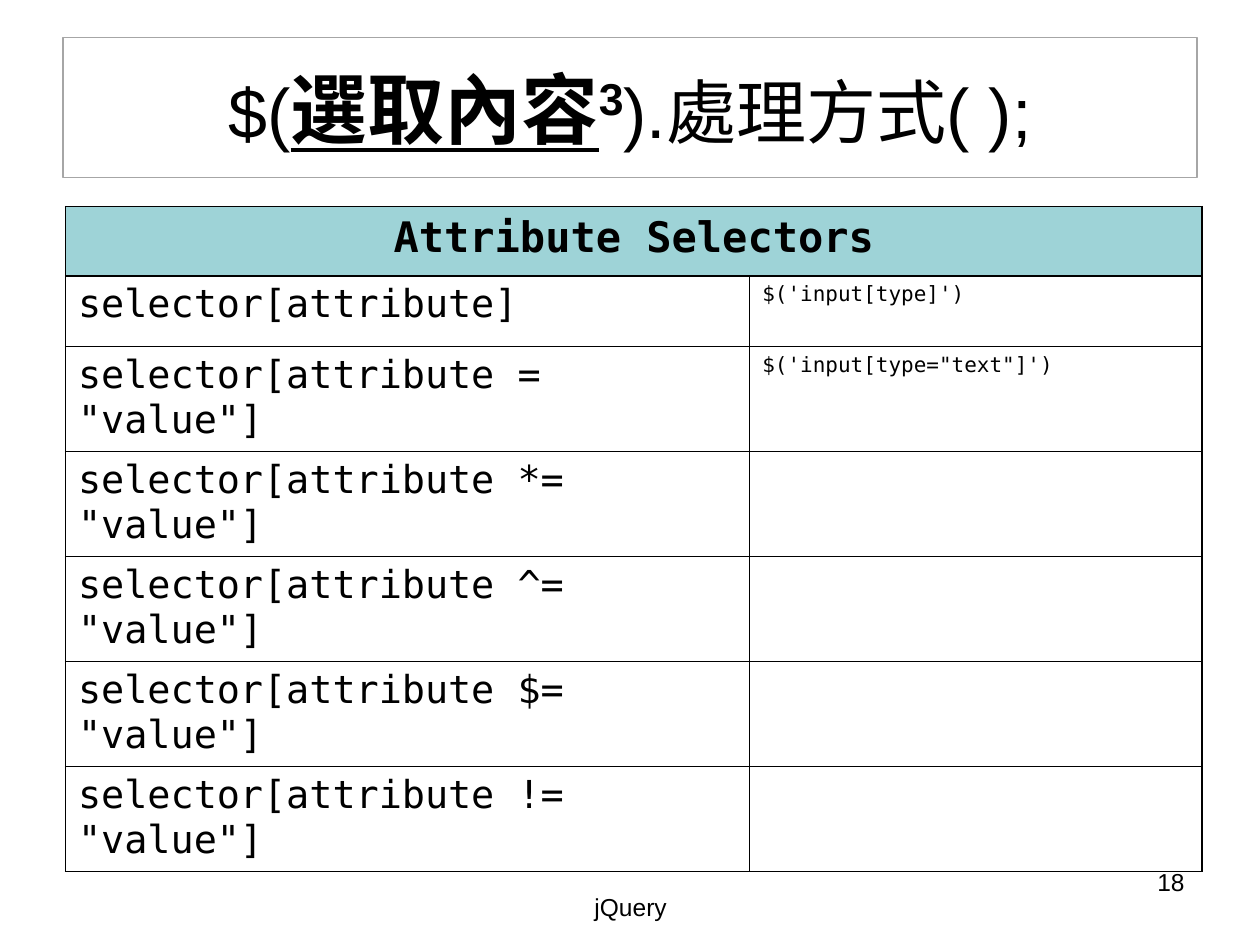
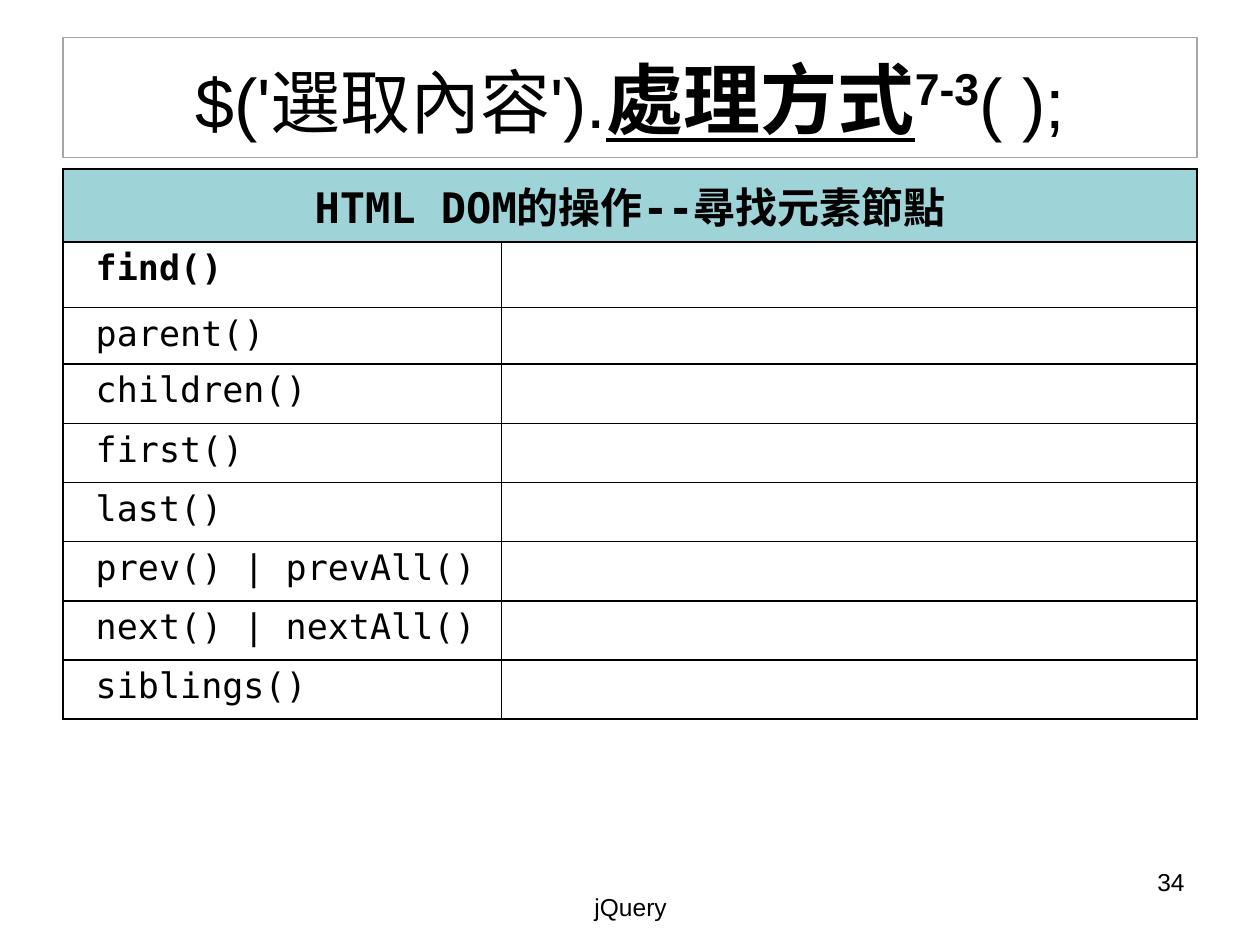
import pptx
import pptx.dml.color
import pptx.enum.text
import pptx.oxml.ns
import pptx.util
from lxml import etree
from pptx.util import Inches

BLACK = pptx.dml.color.RGBColor(0, 0, 0)
GREY = pptx.dml.color.RGBColor(0xA6, 0xA6, 0xA6)
TEAL = pptx.dml.color.RGBColor(0x9E, 0xD3, 0xD7)
SANS = "Arial"
MONO = "DejaVu Sans Mono"
CENTER = pptx.enum.text.PP_ALIGN.CENTER
RIGHT = pptx.enum.text.PP_ALIGN.RIGHT
TITLE_ONLY = 5


class SlideBuilder:
    """Holds the shared style and the current slide."""

    def __init__(self, deck):
        """Start working on a deck."""
        self.deck = deck
        self.page = None

    def start(self, number):
        """Add a slide with its footer and page number."""
        layout = self.deck.slide_layouts[TITLE_ONLY]
        self.page = self.deck.slides.add_slide(layout)
        self.label(str(number), 7.17, 6.83, 2.33, 0.52, RIGHT)
        self.label("jQuery", 3.42, 7.03, 3.17, 0.5, CENTER)

    def style(self, span, size, font, bold=False):
        """Format one run."""
        span.font.size = pptx.util.Pt(size)
        span.font.name = font
        span.font.bold = bold
        span.font.color.rgb = BLACK

    def label(self, text, left, top, width, height, align):
        """Add a small footer text."""
        box = self.page.shapes.add_textbox(
            Inches(left), Inches(top), Inches(width), Inches(height))
        box.text_frame.word_wrap = True
        box.text_frame.text = text
        para = box.text_frame.paragraphs[0]
        para.alignment = align
        self.style(para.runs[0], 14, SANS)

    def title(self, before, focus, index, after, height):
        """Fill the framed title, with its focus underlined and a raised index."""
        box = self.page.shapes.title
        box.left, box.top = Inches(0.5), Inches(0.3)
        box.width, box.height = Inches(9), Inches(height)
        box.line.color.rgb = GREY
        box.line.width = pptx.util.Pt(0.75)
        frame = box.text_frame
        frame.auto_size = pptx.enum.text.MSO_AUTO_SIZE.NONE
        frame.vertical_anchor = pptx.enum.text.MSO_ANCHOR.MIDDLE
        para = frame.paragraphs[0]
        para.alignment = CENTER
        for text in (before, focus, index, after):
            span = para.add_run()
            span.text = text
            strong = text in (focus, index)
            self.style(span, 44 if strong else 40, SANS, strong)
            if text == focus:
                span.font.underline = True
            if text == index:
                span.font._element.set("baseline", "30000")

    def borders(self, cell):
        """Draw a thin black line on each side of a cell."""
        properties = cell._tc.get_or_add_tcPr()
        for side in ("lnL", "lnR", "lnT", "lnB"):
            line = etree.SubElement(properties, pptx.oxml.ns.qn("a:" + side),
                                    w=str(pptx.util.Pt(1)))
            fill = etree.SubElement(line, pptx.oxml.ns.qn("a:solidFill"))
            etree.SubElement(fill, pptx.oxml.ns.qn("a:srgbClr"), val=str(BLACK))

    def cell_text(self, cell, text, size, bold=False):
        """Put code text in a cell."""
        cell.text_frame.text = text
        self.style(cell.text_frame.paragraphs[0].runs[0], size, MONO, bold)

    def table(self, heading, rows, left, top, widths, heights, size,
              margins, bold_names=()):
        """Add a two-column table below one merged heading."""
        frame = self.page.shapes.add_table(
            len(heights), 2, Inches(left), Inches(top),
            Inches(sum(widths)), Inches(sum(heights)))
        table = frame.table
        table.first_row = table.horz_banding = False
        for column, width in zip(table.columns, widths):
            column.width = Inches(width)
        for row, height in zip(table.rows, heights):
            row.height = Inches(height)
        for cell in table.iter_cells():
            self.borders(cell)
            cell.fill.background()
        head = table.cell(0, 0)
        head.merge(table.cell(0, 1))
        head.fill.solid()
        head.fill.fore_color.rgb = TEAL
        self.cell_text(head, heading, 24, True)
        head.text_frame.paragraphs[0].alignment = CENTER
        for number, (name, example) in enumerate(rows, 1):
            cell = table.cell(number, 0)
            cell.margin_left, cell.margin_right = map(Inches, margins)
            self.cell_text(cell, name, size, name in bold_names)
            if example:
                self.cell_text(table.cell(number, 1), example, 12)


def main():
    """Build and save the deck."""
    deck = pptx.Presentation()
    deck.slide_width, deck.slide_height = Inches(10), Inches(7.5)
    builder = SlideBuilder(deck)

    builder.start(18)
    builder.title("$(", "選取內容", "3", ").處理方式( );", 1.11)
    selectors = [("selector[attribute]", "$('input[type]')"),
                 ('selector[attribute = "value"]', "$('input[type=\"text\"]')")]
    selectors += [(f'selector[attribute {sign}= "value"]', "") for sign in "*^$!"]
    builder.table("Attribute Selectors", selectors, 0.52, 1.64, (5.43, 3.59),
                  [0.55, 0.56] + [0.81] * 5, 22, (0.1, 0.4))

    builder.start(34)
    builder.title("$('選取內容').", "處理方式", "7-3", "( );", 0.95)
    methods = ("find()", "parent()", "children()", "first()", "last()",
               "prev() | prevAll()", "next() | nextAll()", "siblings()")
    builder.table("HTML DOM的操作--尋找元素節點", [(name, "") for name in methods],
                  0.5, 1.34, (3.48, 5.52), [0.58, 0.52, 0.45] + [0.47] * 6,
                  20, (0.26, 0.1), ("find()",))
    deck.save("out.pptx")


main()
